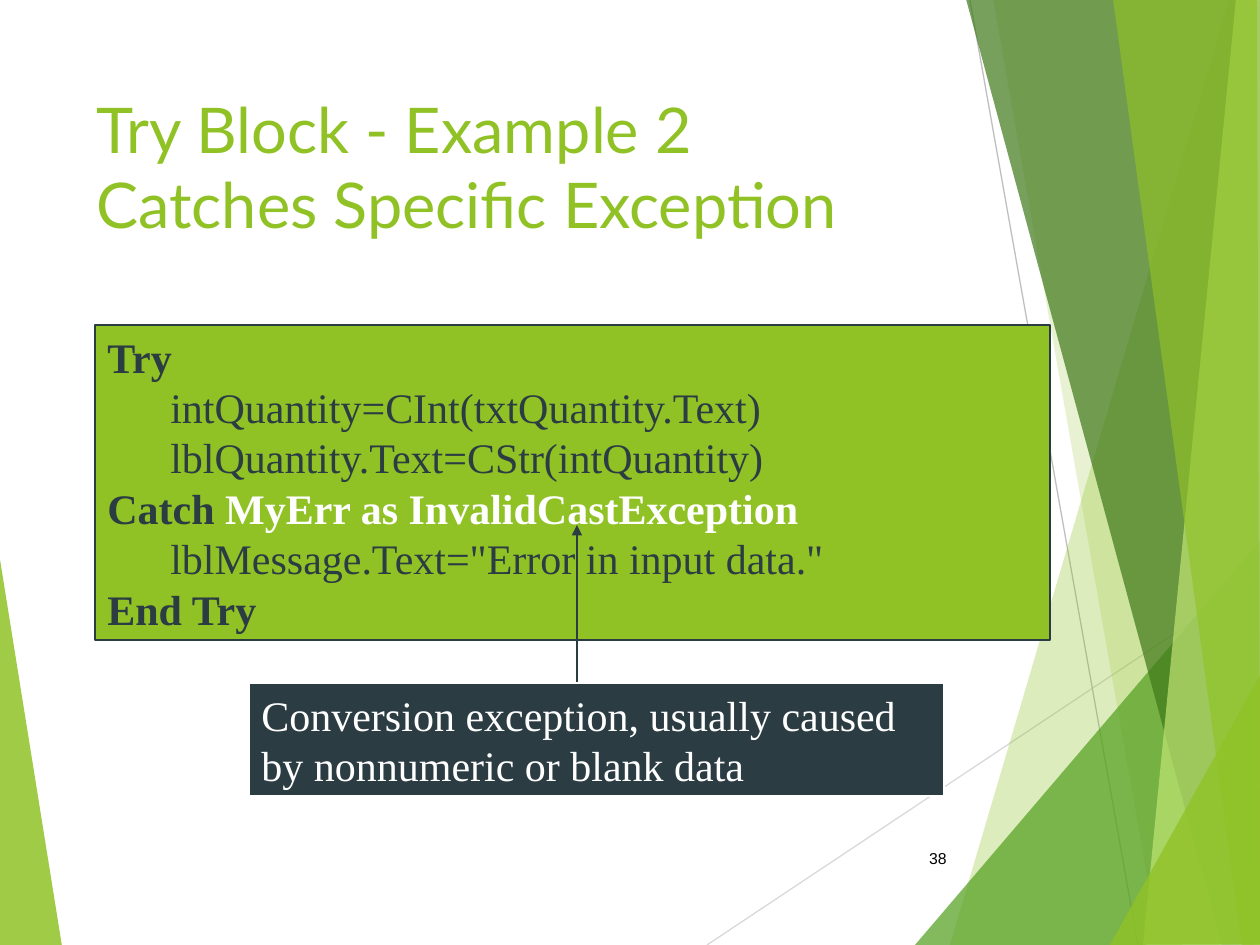
from lxml import etree
from pptx import Presentation
from pptx.dml.color import RGBColor
from pptx.enum import shapes, text
from pptx.oxml.ns import qn
from pptx.util import Pt

PX = 914400 / 126
LIME = RGBColor(0x90, 0xC2, 0x26)
GREEN = RGBColor(0x54, 0xA0, 0x21)
DEEP = RGBColor(0x3F, 0x78, 0x19)
PALE = RGBColor(0xC0, 0xE4, 0x74)
SLATE = RGBColor(0x2C, 0x3C, 0x43)
WHITE = RGBColor(0xFF, 0xFF, 0xFF)
BLACK = RGBColor(0, 0, 0)
GRAY = RGBColor(0xBF, 0xBF, 0xBF)
SILVER = RGBColor(0xD9, 0xD9, 0xD9)

RAYS = [
    ((707, 945), (1261, 576), SILVER),
    ((970, 0), (1138, 945), GRAY),
]
EDGE = (LIME, 85, [(-1, 553), (62, 946), (-1, 945)])
FACETS = [
    (LIME, 30, [(1229, 0), (950, 945), (1262, 946), (1261, 1)]),
    (LIME, 20, [(993, -1), (1159, 945), (1261, 945), (1261, -1)]),
    (GREEN, 72, [(915, 945), (1260, 541), (1261, 945)]),
    (DEEP, 70, [(966, -1), (1222, 945), (1261, 944), (1261, -1)]),
    (PALE, 70, [(1236, -1), (1143, 945), (1261, 945), (1260, -1)]),
    (LIME, 65, [(1113, -1), (1242, 945), (1260, 945), (1257, -1)]),
    (LIME, 80, [(1110, 945), (1261, 674), (1261, 944)]),
]

HEAD = {"size": Pt(36), "name": "Lato", "color": LIME}
PAGE = {"size": Pt(9), "name": "Arial", "color": BLACK}
CODE = {"size": Pt(24), "name": "Times New Roman", "color": SLATE}
BOLD = {**CODE, "bold": True}
HOT = {**BOLD, "color": WHITE}
NOTE = {**CODE, "color": WHITE}

TITLE = [[("Try Block - Example 2\vCatches Specific Exception", HEAD)]]
NUMBER = [[("38", PAGE)]]
LINES = [
    [("Try", BOLD)],
    [("\tintQuantity=CInt(txtQuantity.Text)", CODE)],
    [("\tlblQuantity.Text=CStr(intQuantity)", CODE)],
    [("Catch ", BOLD), ("MyErr as InvalidCastException", HOT)],
    [("\tlblMessage.Text=\"Error in input data.\"", CODE)],
    [("End Try", BOLD)],
]
REMARK = [[("Conversion exception, usually caused by nonnumeric or blank data", NOTE)]]


def emu(*vals):
    return [round(v * PX) for v in vals]


def style(run, look):
    for key, val in look.items():
        if key == "color":
            run.font.color.rgb = val
        else:
            setattr(run.font, key, val)


def write(shape, paras, align=text.PP_ALIGN.LEFT, anchor=text.MSO_ANCHOR.TOP):
    frame = shape.text_frame
    frame.word_wrap = True
    frame.vertical_anchor = anchor
    for i, parts in enumerate(paras):
        para = frame.paragraphs[0] if i == 0 else frame.add_paragraph()
        para.alignment = align
        if parts[0][0].startswith("\t"):
            tabs = etree.SubElement(para._p.get_or_add_pPr(), qn("a:tabLst"))
            etree.SubElement(tabs, qn("a:tab"), pos=str(emu(63)[0]), algn="l")
        for words, look in parts:
            for n, row in enumerate(words.split("\v")):
                if n:
                    para.add_line_break()
                run = para.add_run()
                run.text = row
                style(run, look)


def facet(slide, color, alpha, pts):
    pen = slide.shapes.build_freeform(*pts[0], scale=PX)
    pen.add_line_segments(pts[1:], close=True)
    shape = pen.convert_to_shape()
    shape.shadow.inherit = False
    shape.fill.solid()
    shape.fill.fore_color.rgb = color
    shape.line.fill.background()
    tone = shape.fill._xPr.find(qn("a:solidFill"))[0]
    etree.SubElement(tone, qn("a:alpha"), val=str(alpha * 1000))


def line(slide, start, end, color, width=0.75, arrow=False):
    link = slide.shapes.add_connector(shapes.MSO_CONNECTOR.STRAIGHT, *emu(*start, *end))
    link.line.color.rgb = color
    link.line.width = Pt(width)
    if arrow:
        etree.SubElement(link.line._get_or_add_ln(), qn("a:tailEnd"), type="triangle")
    etree.SubElement(link._element.spPr, qn("a:effectLst"))


def panel(slide, area, fill, edge, paras):
    box = slide.shapes.add_shape(shapes.MSO_SHAPE.RECTANGLE, *emu(*area))
    box.shadow.inherit = False
    box.fill.solid()
    box.fill.fore_color.rgb = fill
    box.line.color.rgb = edge
    box.line.width = Pt(0.75)
    write(box, paras)


def main():
    deck = Presentation()
    deck.slide_width, deck.slide_height = emu(1260, 945)
    slide = deck.slides.add_slide(deck.slide_layouts[6])
    facet(slide, *EDGE)
    for ray in RAYS:
        line(slide, *ray)
    for item in FACETS:
        facet(slide, *item)
    write(slide.shapes.add_textbox(*emu(84, 84, 874, 181)), TITLE)
    write(slide.shapes.add_textbox(*emu(888, 833, 71, 50)), NUMBER,
          text.PP_ALIGN.RIGHT, text.MSO_ANCHOR.MIDDLE)
    panel(slide, (95, 325, 955, 315), LIME, SLATE, LINES)
    line(slide, (577, 683), (577, 525), SLATE, 1.5, True)
    panel(slide, (249, 683, 695, 113), SLATE, WHITE, REMARK)
    deck.save("out.pptx")


if __name__ == "__main__":
    main()
